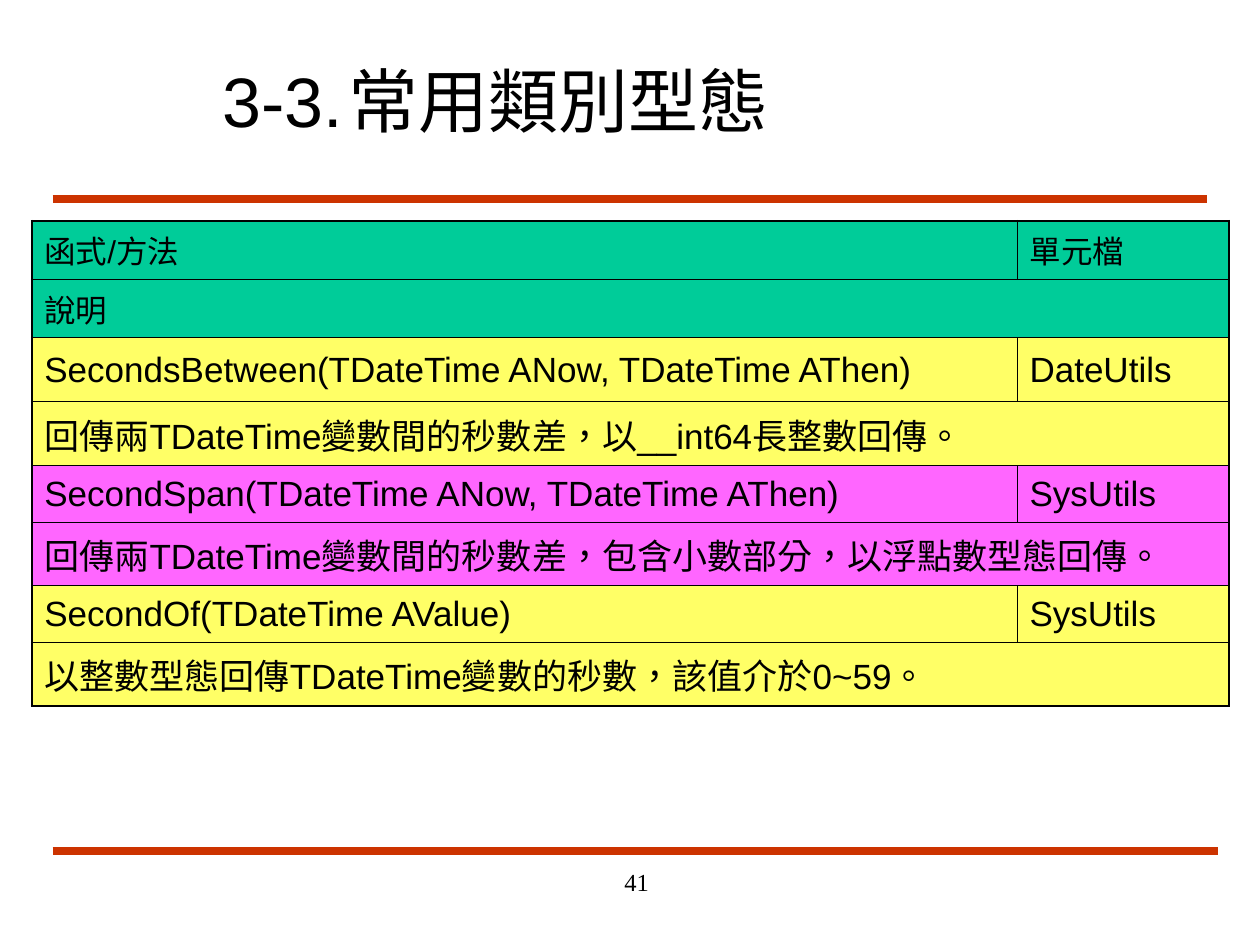
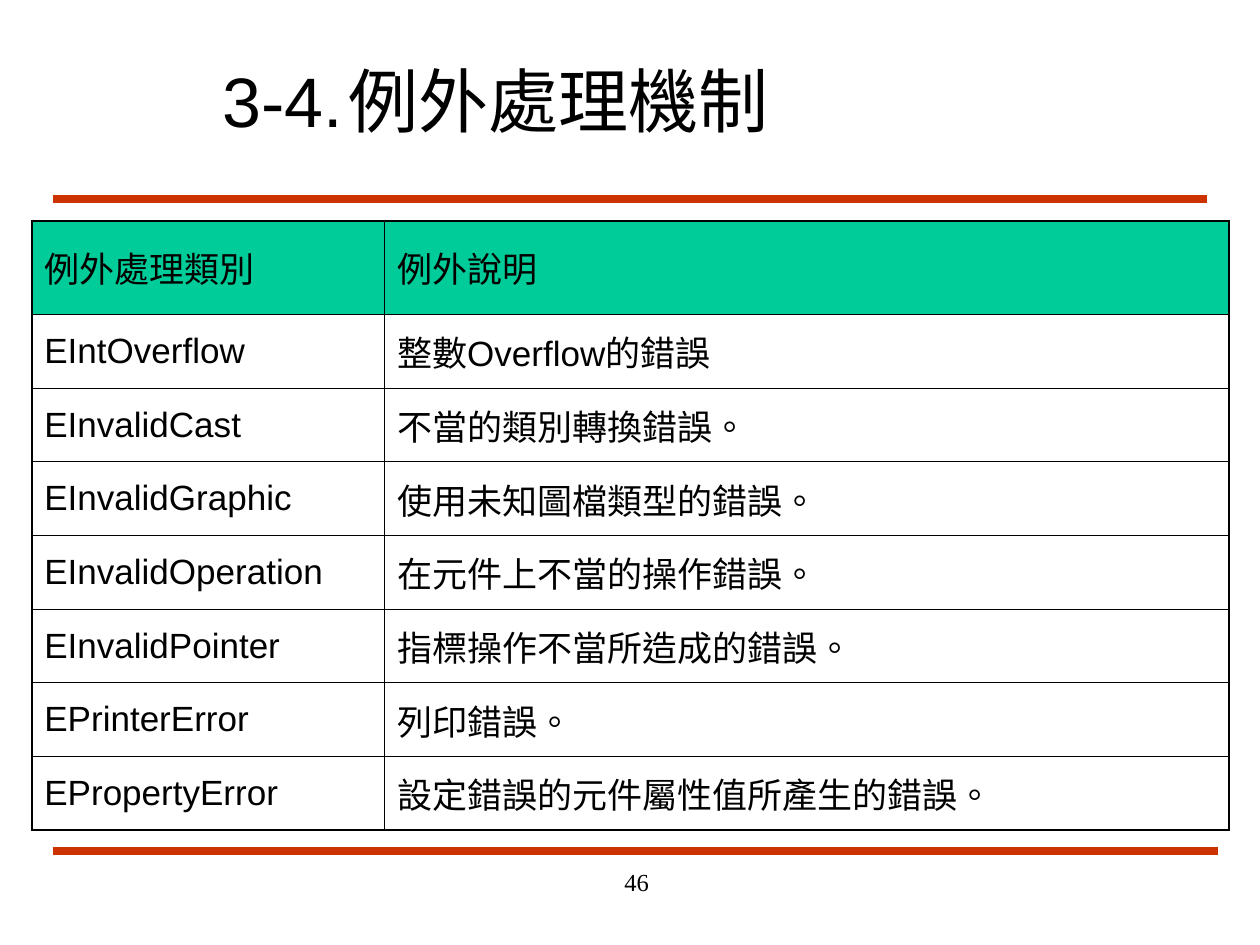
from dataclasses import dataclass
from typing import Any

from lxml.etree import SubElement
from pptx import Presentation
from pptx.dml.color import RGBColor
from pptx.enum.lang import MSO_LANGUAGE_ID as Language
from pptx.enum.shapes import MSO_CONNECTOR as Connector
from pptx.enum.text import MSO_ANCHOR as Anchor, MSO_AUTO_SIZE as AutoSize, PP_ALIGN as Align
from pptx.oxml.ns import qn
from pptx.util import Cm, Pt

COLOURS = {
    "text": "000000",
    "border": "000000",
    "rule": "CC3300",
    "header": "00CC99",
    "yellow": "FFFF66",
    "pink": "FF66FF",
}
TITLE_FONT = {"name": "Arial", "size": Pt(40), "bold": False}
HEADER_FONT = {"name": "Arial", "size": Pt(18), "bold": False}
CELL_FONT = {"name": "Arial", "size": Pt(20), "bold": False}
NUMBER_FONT = {"name": "Times New Roman", "size": Pt(14)}

TITLE_PLACE = {"left": Cm(4.23), "top": Cm(0.85), "width": Cm(19.26), "height": Cm(2.33)}
NUMBER_PLACE = {"left": Cm(8.04), "top": Cm(17.36), "width": Cm(5.29), "height": Cm(1.27)}
TABLE_LEFT, TABLE_TOP = Cm(0.64), Cm(4.45)
OUTER_BORDER, INNER_BORDER = Pt(1.08), Pt(0.45)


@dataclass(frozen=True)
class Rule:
    top: float
    right: float
    left: float = 1.06


@dataclass(frozen=True)
class Row:
    """A table row; one text alone spans every column."""
    texts: tuple[str, ...]
    height: float
    fill: str | None = None
    font: Any = None


@dataclass(frozen=True)
class TablePage:
    number: int
    section: str
    title: str
    columns: tuple[float, ...]
    rows: tuple[Row, ...]


RULES = (Rule(4.02, 24.34), Rule(17.15, 24.56))

FUNCTION_ROWS = (
    Row(("函式/方法", "單元檔"), 1.18, "header", HEADER_FONT),
    Row(("說明",), 1.18, "header", HEADER_FONT),
    Row(("SecondsBetween(TDateTime ANow, TDateTime AThen)", "DateUtils"), 1.29, "yellow"),
    Row(("回傳兩TDateTime變數間的秒數差，以__int64長整數回傳。",), 1.29, "yellow"),
    Row(("SecondSpan(TDateTime ANow, TDateTime AThen)", "SysUtils"), 1.14, "pink"),
    Row(("回傳兩TDateTime變數間的秒數差，包含小數部分，以浮點數型態回傳。",), 1.27, "pink"),
    Row(("SecondOf(TDateTime AValue)", "SysUtils"), 1.14, "yellow"),
    Row(("以整數型態回傳TDateTime變數的秒數，該值介於0~59。",), 1.27, "yellow"),
)
EXCEPTIONS = {
    "EIntOverflow": "整數Overflow的錯誤",
    "EInvalidCast": "不當的類別轉換錯誤。",
    "EInvalidGraphic": "使用未知圖檔類型的錯誤。",
    "EInvalidOperation": "在元件上不當的操作錯誤。",
    "EInvalidPointer": "指標操作不當所造成的錯誤。",
    "EPrinterError": "列印錯誤。",
    "EPropertyError": "設定錯誤的元件屬性值所產生的錯誤。",
}
EXCEPTION_ROWS = (
    Row(("例外處理類別", "例外說明"), 1.89, "header"),
    *(Row(pair, 1.485) for pair in EXCEPTIONS.items()),
)
PAGES = (
    TablePage(41, "3-3.", "常用類別型態", (19.86, 4.27), FUNCTION_ROWS),
    TablePage(46, "3-4.", "例外處理機制", (7.11, 17.02), EXCEPTION_ROWS),
)


def colour(name: str) -> RGBColor:
    return RGBColor.from_string(COLOURS[name])


def set_all(target: Any, values: dict[str, Any]) -> None:
    for name, value in values.items():
        setattr(target, name, value)


def write(para: Any, text: str, font: dict[str, Any], align: Any = Align.LEFT) -> None:
    para.alignment = align
    span = para.add_run()
    span.text = text
    set_all(span.font, font | {"language_id": Language.TRADITIONAL_CHINESE})
    span.font.color.rgb = colour("text")


def add_title(page: Any, section: str, title: str) -> None:
    box = page.shapes.title
    set_all(box, TITLE_PLACE)
    set_all(box.text_frame, {"vertical_anchor": Anchor.MIDDLE, "auto_size": AutoSize.NONE})
    para = box.text_frame.paragraphs[0]
    tabs = SubElement(para._p.get_or_add_pPr(), qn("a:tabLst"))
    SubElement(tabs, qn("a:tab"), pos=str(Cm(2.54)), algn="l")
    write(para, f"{section}\t{title}", TITLE_FONT)


def add_rule(page: Any, rule: Rule) -> None:
    top = Cm(rule.top)
    line = page.shapes.add_connector(Connector.STRAIGHT, Cm(rule.left), top, Cm(rule.right), top)
    line.line.color.rgb = colour("rule")
    line.line.width = Pt(4.5)
    SubElement(line._element.spPr, qn("a:effectLst"))


def add_page_number(page: Any, number: int) -> None:
    box = page.shapes.add_textbox(**NUMBER_PLACE)
    box.text_frame.word_wrap = True
    write(box.text_frame.paragraphs[0], str(number), NUMBER_FONT, Align.RIGHT)


def set_borders(cell: Any, outer_sides: dict[str, bool]) -> None:
    """Draw the sides on the table's edge thicker than the inner ones."""
    properties = cell._tc.get_or_add_tcPr()
    for side, is_outer in outer_sides.items():
        width = OUTER_BORDER if is_outer else INNER_BORDER
        line = SubElement(properties, qn(f"a:ln{side}"), w=str(width))
        fill = SubElement(line, qn("a:solidFill"))
        SubElement(fill, qn("a:srgbClr"), val=COLOURS["border"])


def add_table(page: Any, columns: tuple[float, ...], rows: tuple[Row, ...]) -> None:
    width = Cm(sum(columns))
    height = Cm(sum(row.height for row in rows))
    frame = page.shapes.add_table(len(rows), len(columns), TABLE_LEFT, TABLE_TOP, width, height)
    table = frame.table
    set_all(table, {"first_row": False, "horz_banding": False})
    for column, column_width in zip(table.columns, columns):
        column.width = Cm(column_width)

    last_row, last_column = len(rows) - 1, len(columns) - 1
    for row_index, row in enumerate(rows):
        table.rows[row_index].height = Cm(row.height)
        spans_all = len(row.texts) == 1
        if spans_all:
            table.cell(row_index, 0).merge(table.cell(row_index, last_column))
        for column_index in range(len(columns)):
            cell = table.cell(row_index, column_index)
            set_borders(cell, {
                "L": spans_all or column_index == 0,
                "R": spans_all or column_index == last_column,
                "T": row_index == 0,
                "B": row_index == last_row,
            })
            if row.fill:
                cell.fill.solid()
                cell.fill.fore_color.rgb = colour(row.fill)
            else:
                cell.fill.background()
            cell.vertical_anchor = Anchor.MIDDLE
        for column_index, text in enumerate(row.texts):
            para = table.cell(row_index, column_index).text_frame.paragraphs[0]
            write(para, text, row.font or CELL_FONT)


def main() -> None:
    deck = Presentation()
    set_all(deck, {"slide_width": Cm(25.4), "slide_height": Cm(19.05)})
    title_only = deck.slide_layouts.get_by_name("Title Only")
    for content in PAGES:
        page = deck.slides.add_slide(title_only)
        for rule in RULES:
            add_rule(page, rule)
        add_title(page, content.section, content.title)
        add_table(page, content.columns, content.rows)
        add_page_number(page, content.number)
    deck.save("out.pptx")


if __name__ == "__main__":
    main()
